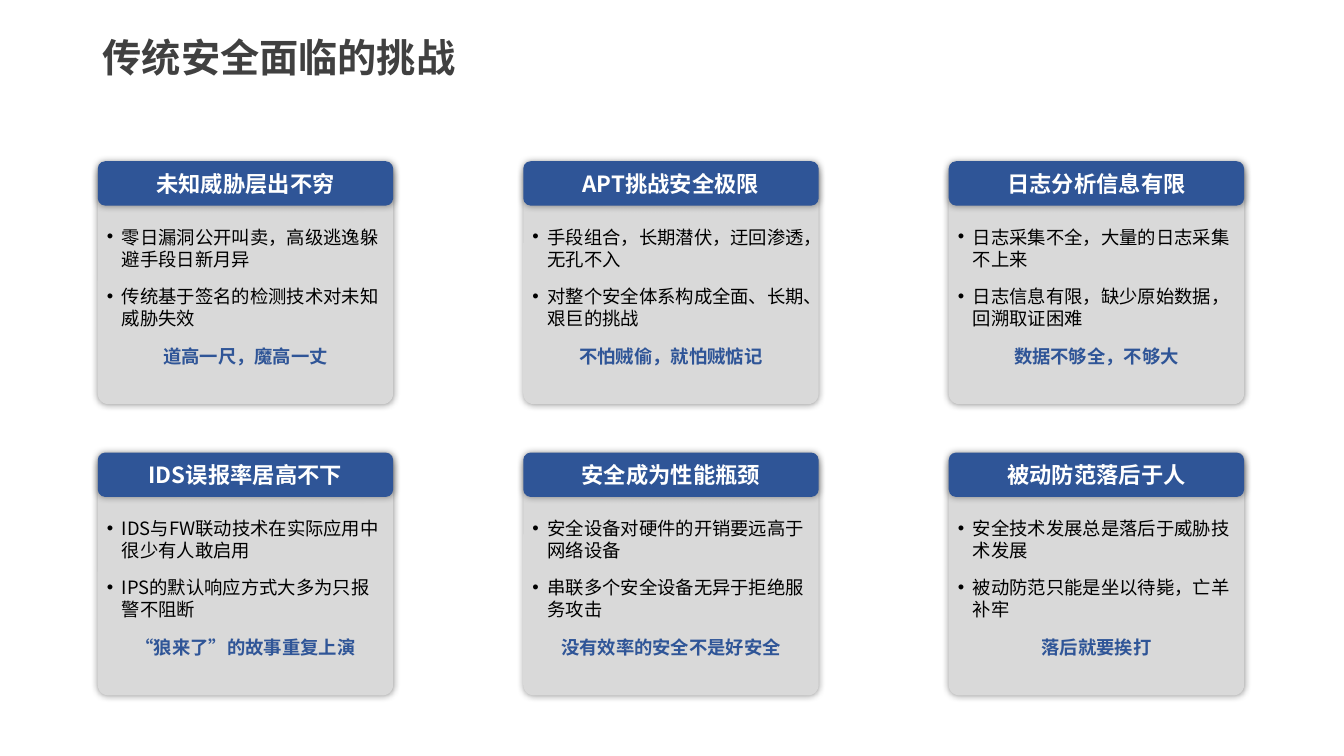
from lxml.etree import SubElement
from pptx import Presentation
from pptx.dml.color import RGBColor
from pptx.enum.shapes import MSO_SHAPE as Preset
from pptx.enum.text import MSO_ANCHOR as Anchor, MSO_AUTO_SIZE as AutoSize, PP_ALIGN as Align
from pptx.oxml.ns import qn
from pptx.util import Inches, Pt

FONT = "Noto Sans CJK SC"
COLORS = {"title": "404040", "panel": "D9D9D9", "accent": "2F5597",
          "header": "FFFFFF", "body": "000000", "shadow": "000000"}
LEFT, TOP = 0.97, 1.6
COLUMN_STEP, ROW_STEP = 4.22, 2.89
CARD_WIDTH, HEADER_HEIGHT = 2.93, 0.44
PANEL_OFFSET, PANEL_HEIGHT = 0.04, 2.37
BODY_OFFSET, BODY_HEIGHT = 0.59, 1.54
INDENT = Inches(0.15)

CARD_ROWS = [
    [
        ("未知威胁层出不穷", "零日漏洞公开叫卖，高级逃逸躲避手段日新月异",
         "传统基于签名的检测技术对未知威胁失效", "道高一尺，魔高一丈"),
        ("APT挑战安全极限", "手段组合，长期潜伏，迂回渗透，无孔不入",
         "对整个安全体系构成全面、长期、艰巨的挑战", "不怕贼偷，就怕贼惦记"),
        ("日志分析信息有限", "日志采集不全，大量的日志采集不上来",
         "日志信息有限，缺少原始数据，回溯取证困难", "数据不够全，不够大"),
    ],
    [
        ("IDS误报率居高不下", "IDS与FW联动技术在实际应用中很少有人敢启用",
         "IPS的默认响应方式大多为只报警不阻断", "“狼来了”的故事重复上演"),
        ("安全成为性能瓶颈", "安全设备对硬件的开销要远高于网络设备",
         "串联多个安全设备无异于拒绝服务攻击", "没有效率的安全不是好安全"),
        ("被动防范落后于人", "安全技术发展总是落后于威胁技术发展",
         "被动防范只能是坐以待毙，亡羊补牢", "落后就要挨打"),
    ],
]


def add_run(paragraph, text, size, color, bold):
    run = paragraph.add_run()
    run.text = text
    run.font.size = Pt(size)
    run.font.bold = bold
    run.font.name = FONT
    run.font.color.rgb = RGBColor.from_string(COLORS[color])
    SubElement(run.font._element, qn("a:ea"), typeface=FONT)


def add_rounded_box(group, left, top, height, color):
    shape = group.shapes.add_shape(Preset.ROUNDED_RECTANGLE, Inches(left), Inches(top),
                                   Inches(CARD_WIDTH), Inches(height))
    shape.fill.solid()
    shape.fill.fore_color.rgb = RGBColor.from_string(COLORS[color])
    shape.line.fill.background()
    shape.shadow.inherit = False
    effects = shape._element.spPr.find(qn("a:effectLst"))
    shadow = SubElement(effects, qn("a:outerShdw"), blurRad=str(Pt(5)), dist="0", dir="0",
                        algn="ctr", rotWithShape="0")
    shadow_color = SubElement(shadow, qn("a:srgbClr"), val=COLORS["shadow"])
    SubElement(shadow_color, qn("a:alpha"), val="40000")
    return shape


presentation = Presentation()
presentation.slide_width = Inches(13.33)
presentation.slide_height = Inches(7.5)
slide = presentation.slides.add_slide(presentation.slide_layouts[6])

title = slide.shapes.add_textbox(Inches(LEFT), Inches(0.32), Inches(5.18), Inches(0.54))
frame = title.text_frame
frame.word_wrap = True
frame.vertical_anchor = Anchor.MIDDLE
frame.margin_left = frame.margin_right = Inches(0.05)
paragraph = frame.paragraphs[0]
paragraph.line_spacing = 0.9
add_run(paragraph, "传统安全面临的挑战", 28, "title", True)

for column, cards in enumerate(zip(*CARD_ROWS)):
    group = slide.shapes.add_group_shape()
    left = LEFT + column * COLUMN_STEP
    for row, (heading, *points, motto) in enumerate(cards):
        top = TOP + row * ROW_STEP

        panel = add_rounded_box(group, left, top + PANEL_OFFSET, PANEL_HEIGHT, "panel")
        panel.adjustments[0] = 0.045

        header = add_rounded_box(group, left, top, HEADER_HEIGHT, "accent")
        frame = header.text_frame
        frame.word_wrap = False
        frame.vertical_anchor = Anchor.MIDDLE
        frame.margin_left = frame.margin_right = Inches(0.09)
        paragraph = frame.paragraphs[0]
        paragraph.alignment = Align.CENTER
        add_run(paragraph, heading, 15.9, "header", True)

        body = group.shapes.add_textbox(Inches(left), Inches(top + BODY_OFFSET),
                                        Inches(CARD_WIDTH), Inches(BODY_HEIGHT))
        frame = body.text_frame
        frame.word_wrap = True
        frame.auto_size = AutoSize.SHAPE_TO_FIT_TEXT
        frame.margin_left = frame.margin_right = Inches(0.09)
        for index, text in enumerate([*points, motto]):
            is_motto = index == len(points)
            paragraph = frame.add_paragraph() if index else frame.paragraphs[0]
            properties = paragraph._p.get_or_add_pPr()
            properties.set("marL", str(INDENT))
            properties.set("indent", str(-INDENT))
            if is_motto:
                paragraph.alignment = Align.CENTER
            else:
                SubElement(properties, qn("a:buFont"), typeface="Arial")
                SubElement(properties, qn("a:buChar"), char="•")
            paragraph.line_spacing = Pt(15.7)
            paragraph.space_before = Pt(5.6 if index else 0)
            paragraph.space_after = Pt(5.6)
            add_run(paragraph, text, 13.1, "accent" if is_motto else "body", is_motto)

presentation.save("out.pptx")
